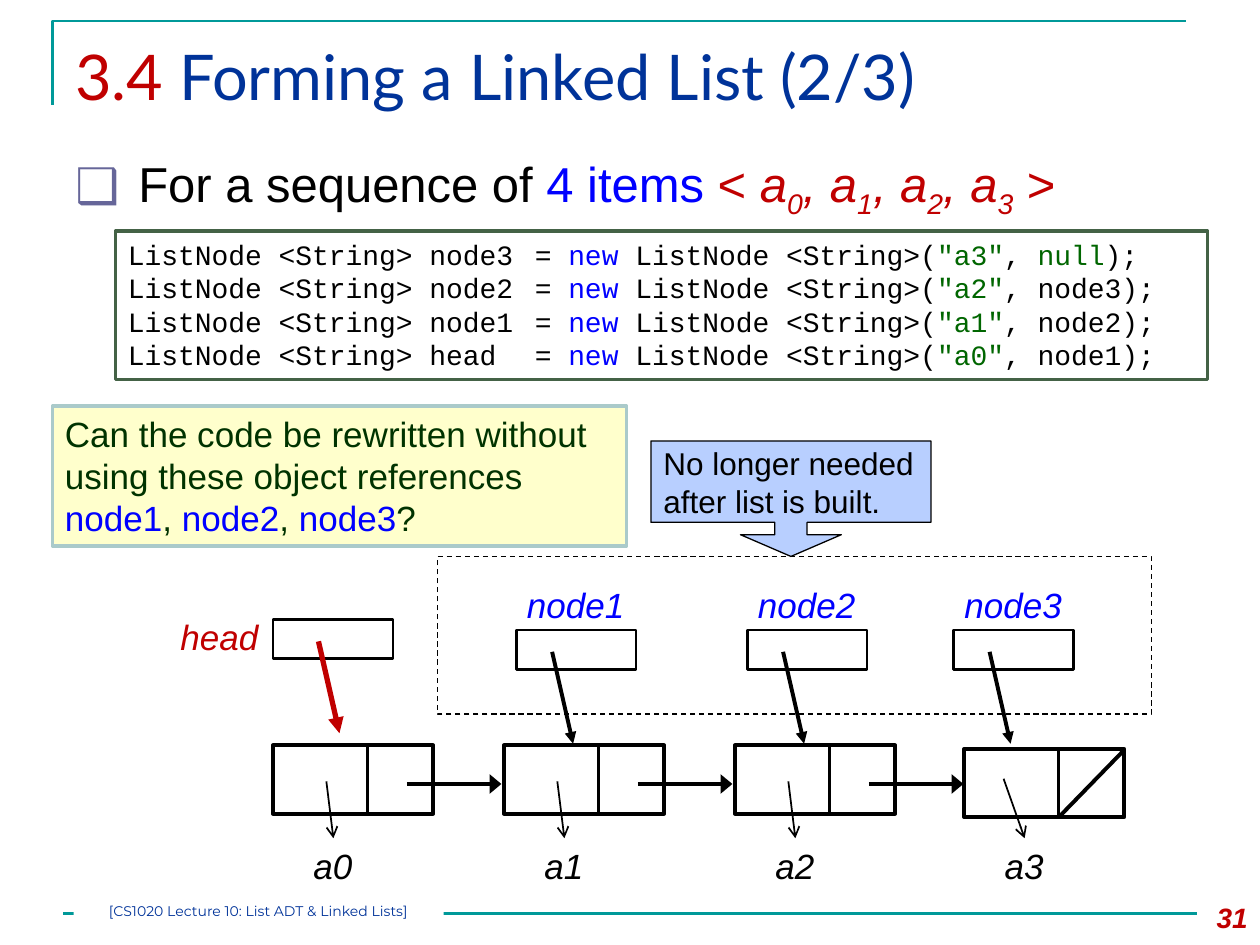
from dataclasses import dataclass

from lxml import etree
from pptx import Presentation
from pptx.dml.color import RGBColor
from pptx.enum.dml import MSO_LINE
from pptx.enum.shapes import MSO_CONNECTOR, MSO_SHAPE
from pptx.enum.text import MSO_ANCHOR, PP_ALIGN
from pptx.oxml.ns import qn
from pptx.util import Pt

RECT = MSO_SHAPE.RECTANGLE
CALLOUT = MSO_SHAPE.DOWN_ARROW_CALLOUT
STRAIGHT = MSO_CONNECTOR.STRAIGHT
DASH = MSO_LINE.DASH
TOP, MIDDLE = MSO_ANCHOR.TOP, MSO_ANCHOR.MIDDLE
LEFT, CENTER, RIGHT = PP_ALIGN.LEFT, PP_ALIGN.CENTER, PP_ALIGN.RIGHT


@dataclass(frozen=True)
class Theme:
    black: str = "000000"
    white: str = "FFFFFF"
    teal: str = "009999"
    red: str = "C00000"
    navy: str = "003399"
    blue: str = "0000FF"
    green: str = "006600"
    dark: str = "003300"
    frame: str = "446246"
    mark: str = "666699"
    cream: str = "FFFFCC"
    edge: str = "AACACA"
    sky: str = "B8CFFF"
    sans: str = "Arial"
    mono: str = "Courier New"
    head: str = "Lato"
    foot: str = "Montserrat"
    title: int = 36
    body: int = 28
    label: int = 20
    note: int = 18
    code: int = 16
    small: int = 8


T = Theme()


def rgb(color):
    return RGBColor.from_string(color)


def add_runs(para, runs, size, font):
    """Each run is (text, color) or (text, color, italic, subscript)."""
    for text, color, *style in runs:
        run = para.add_run()
        run.text = text
        run.font.size, run.font.name = Pt(size), font
        run.font.color.rgb = rgb(color)
        if style:
            run.font.italic = style[0]
            if style[1]:
                run.font._element.set("baseline", "-25000")


def setup(frame, wrap=True, anchor=TOP, align=LEFT):
    frame.word_wrap = wrap
    frame.vertical_anchor = anchor
    frame.paragraphs[0].alignment = align
    return frame.paragraphs[0]


def add_text(slide, box, runs, size, font=T.sans, wrap=True, align=LEFT):
    frame = slide.shapes.add_textbox(*map(Pt, box)).text_frame
    para = setup(frame, wrap, align=align)
    add_runs(para, runs, size, font)
    return para


def add_box(slide, box, fill=None, line=None, width=1, kind=RECT):
    shape = slide.shapes.add_shape(kind, *map(Pt, box))
    shape.shadow.inherit = False
    if fill:
        shape.fill.solid()
        shape.fill.fore_color.rgb = rgb(fill)
    else:
        shape.fill.background()
    if line:
        shape.line.color.rgb = rgb(line)
        shape.line.width = Pt(width)
    else:
        shape.line.fill.background()
    return shape


def add_line(slide, x1, y1, x2, y2, color=T.black, width=1.5, tip=None, size="med"):
    line = slide.shapes.add_connector(STRAIGHT, Pt(x1), Pt(y1), Pt(x2), Pt(y2))
    line.line.color.rgb = rgb(color)
    line.line.width = Pt(width)
    props = line._element.spPr
    if tip:
        etree.SubElement(props.find(qn("a:ln")), qn("a:tailEnd"), type=tip, w=size)
    etree.SubElement(props, qn("a:effectLst"))


def add_title(slide, x, y, w, h):
    # Corner rule, then the heading
    path = slide.shapes.build_freeform(Pt(x - 6), Pt(y + 42))
    path.add_line_segments([(Pt(x - 6), Pt(y - 6)), (Pt(x + w - 6), Pt(y - 6))], close=False)
    rule = path.convert_to_shape()
    rule.shadow.inherit = False
    rule.fill.background()
    rule.line.color.rgb = rgb(T.teal)
    rule.line.width = Pt(1.5)
    runs = [("3.4 ", T.red), ("Forming a Linked List (2/3)", T.navy)]
    add_text(slide, (x, y, w, h), runs, T.title, T.head)


def add_bullet(slide, x, y, w, h):
    runs = [("For a sequence of ", T.black), ("4 items ", T.blue), ("<", T.red)]
    for i in range(4):
        runs += [(", a" if i else " a", T.red, True, False), (str(i), T.red, True, True)]
    runs.append((" >", T.red))
    para = add_text(slide, (x, y, w, h), runs, T.body)
    props = para._p.get_or_add_pPr()
    props.set("marL", str(Pt(36)))
    props.set("indent", str(-Pt(36)))
    color = etree.SubElement(props, qn("a:buClr"))
    etree.SubElement(color, qn("a:srgbClr"), val=T.mark)
    etree.SubElement(props, qn("a:buFont"), typeface=T.sans)
    etree.SubElement(props, qn("a:buChar"), char="❑")


def add_code(slide, x, y, w, h):
    frame = add_box(slide, (x, y, w, h), T.white, T.frame, 2).text_frame
    setup(frame)
    rows = [("node3", "a3", "null"), ("node2", "a2", "node3"),
            ("node1", "a1", "node2"), ("head", "a0", "node1")]
    for i, (name, item, after) in enumerate(rows):
        para = frame.paragraphs[0] if i == 0 else frame.add_paragraph()
        para.alignment = LEFT
        tabs = etree.SubElement(para._p.get_or_add_pPr(), qn("a:tabLst"))
        etree.SubElement(tabs, qn("a:tab"), pos=str(Pt(232.5)), algn="l")
        add_runs(para, [
            (f"ListNode <String> {name}\t= ", T.black), ("new", T.blue),
            (" ListNode <String>(", T.black), (f'"{item}"', T.green), (", ", T.black),
            (after, T.green if after == "null" else T.black), (");", T.black),
        ], T.code, T.mono)


def add_query(slide, x, y, w, h):
    frame = add_box(slide, (x, y, w, h), T.cream, T.edge, 2).text_frame
    add_runs(setup(frame), [
        ("Can the code be rewritten without using these object references ", T.dark),
        ("node1", T.blue), (", ", T.dark), ("node2", T.blue), (", ", T.dark),
        ("node3", T.blue), ("?", T.dark),
    ], T.label, T.sans)


def add_group(slide, x, y, w, h):
    # Dashed frame with the callout that points at it
    add_box(slide, (x, y, w, h), None, T.black, 0.75).line.dash_style = DASH
    note = add_box(slide, (x + 122, y - 66, 160, 66), T.sky, T.black, 0.75, CALLOUT)
    for i, value in enumerate((0.28, 0.436, 0.188, 0.705)):
        note.adjustments[i] = value
    para = setup(note.text_frame, False, MIDDLE)
    add_runs(para, [("No longer needed", T.black)], T.note, T.sans)
    para.add_line_break()
    add_runs(para, [("after list is built.", T.black)], T.note, T.sans)


def add_ref(slide, x, y, name, label, color, shift, line, width):
    """Reference box; label is the name's place relative to it."""
    add_box(slide, (x, y, 68.5, 22.5), None, T.black, 1.5)
    dx, dy, w = label
    add_text(slide, (x + dx, y + dy, w, 31), [(name, color, True, False)], T.label, wrap=False)
    add_line(slide, x + shift, y + 12.5, x + shift + 12, y + 65, line, width, "triangle")


def add_node(slide, x, y, last=False):
    add_box(slide, (x, y, 91.5, 39), T.white, T.black, 2.25)
    add_line(slide, x + 54, y - 0.5, x + 54, y + 39)
    if last:
        add_line(slide, x + 91.5, y + 0.5, x + 54, y + 39, width=2.25)
    else:
        add_line(slide, x + 76.5, y + 22, x + 130.5, y + 22, T.black, 2.25, "triangle", "lg")


def add_item(slide, x, y, item, start):
    # Item name under its node, with the arrow from the data cell
    box = add_box(slide, (x, y, 37, 31.5), T.white)
    add_runs(setup(box.text_frame, False), [(item, T.black, True, False)], T.label, T.sans)
    dx, dy = start
    add_line(slide, x + dx, y + dy, x + 18.5, y, width=1, tip="arrow")


def add_list(slide, x, y):
    add_ref(slide, x, y - 72, "head", (-60, -6, 59), T.red, 26, T.red, 3)
    for i, left in enumerate((139, 271, 389), 1):
        add_ref(slide, x + left, y - 66, f"node{i}", (-1, -30, 70), T.blue, 20.5, T.black, 2.25)
    pitch = 132
    for i in range(4):
        last = i == 3
        add_node(slide, x + i * pitch - last, y + 2 * last, last)
        start = (6.5, -34) if last else (14.5, -32.5)
        add_item(slide, x + 16 + i * pitch - last, y + 53, f"a{i}", start)


def add_footer(slide, x, y, w):
    add_line(slide, x, y, x + w, y, T.teal)
    box = add_box(slide, (x + 6, y - 6, 211.5, 16.5), T.white)
    frame = box.text_frame
    frame.margin_left = frame.margin_right = frame.margin_top = frame.margin_bottom = 0
    para = setup(frame, align=CENTER)
    add_runs(para, [("[CS1020 Lecture 10: List ADT & Linked Lists]", T.navy)], T.small, T.foot)
    page = add_text(slide, (x + w - 12, y - 11, 48, 29), [("31", T.red, True, False)],
                    T.code, align=RIGHT)
    page.runs[0].font.bold = True


def main():
    deck = Presentation()
    deck.slide_width, deck.slide_height = Pt(720), Pt(540)
    slide = deck.slides.add_slide(deck.slide_layouts[6])
    add_title(slide, 36, 18, 648, 62)
    add_bullet(slide, 36, 84, 648, 48)
    add_code(slide, 66, 132, 624, 85)
    add_group(slide, 250, 318, 408, 90)
    add_list(slide, 156, 426)
    add_query(slide, 30, 232, 328, 80)
    add_footer(slide, 36, 522, 648)
    deck.save("out.pptx")


if __name__ == "__main__":
    main()
